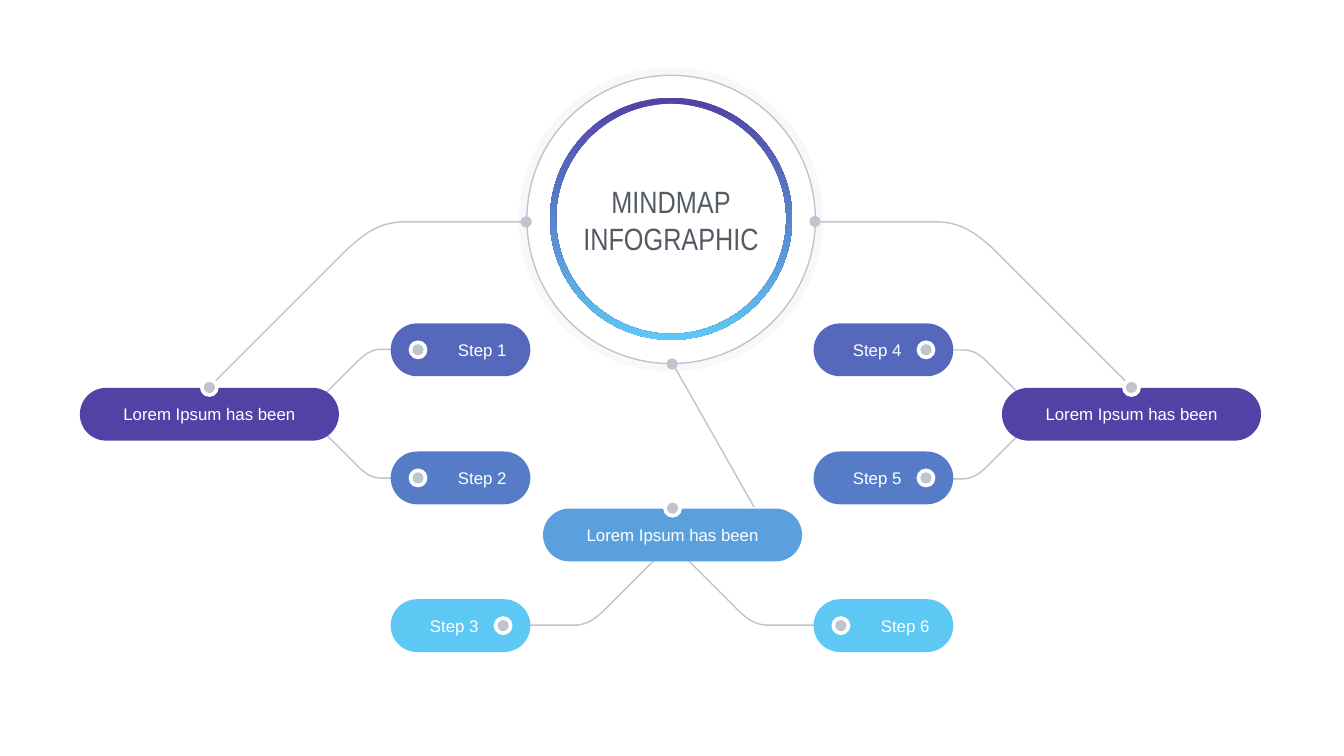
from lxml.etree import SubElement
from pptx import Presentation
from pptx.dml.color import RGBColor
from pptx.enum.shapes import MSO_CONNECTOR, MSO_SHAPE
from pptx.enum.text import MSO_ANCHOR, MSO_AUTO_SIZE, PP_ALIGN
from pptx.oxml.ns import qn
from pptx.util import Pt

COLORS = {
    "violet": "5242A5", "indigo": "5568BC", "blue": "567BC7", "sky": "5AA0DF",
    "cyan": "5EC8F5", "grey": "BFC5CE", "halo": "EFF0F4", "text": "555B64",
    "white": "FFFFFF",
}
TITLE = ["MINDMAP", "INFOGRAPHIC"]
TOPICS = [
    ("Lorem Ipsum has been", 114, 554, "violet"),
    ("Lorem Ipsum has been", 1431, 554, "violet"),
    ("Lorem Ipsum has been", 775.5, 726.5, "sky"),
]
LEFT_X, RIGHT_X = 558, 1162
STEPS = [
    ("Step 1", LEFT_X, 462, "indigo", "left"),
    ("Step 2", LEFT_X, 645, "blue", "left"),
    ("Step 3", LEFT_X, 856, "cyan", "right"),
    ("Step 4", RIGHT_X, 462, "indigo", "right"),
    ("Step 5", RIGHT_X, 645, "blue", "right"),
    ("Step 6", RIGHT_X, 856, "cyan", "left"),
]
STEP_ELBOWS = [
    (435, 592, 602, 499), (435, 590, 602, 683),
    (1485, 592, 1318, 500), (1485, 591, 1318, 684),
    (958.5, 776, 1166, 893), (958.5, 776, 750, 893),
]
TOPIC_ELBOWS = [(304, 548, 751, 317), (1611, 548, 1164, 317)]
TOPIC_LINE = (960, 518, 1077, 724.5)
HUB_DOTS = [(751.5, 317), (1164, 316.5), (960, 520)]
HUB_X, HUB_Y = 958.5, 313.5
TOPIC_W, STEP_W, PILL_H = 370, 199.5, 75.5
DOT_INSET, DOT_D, RIM_D = 39, 16, 27
CURVE = [(0.835, 0.835), (0.91, 0.9), (1, 0.99), (1.16, 1)]
CURVE_STEPS = 12


def rgb(name):
    return RGBColor.from_string(COLORS[name])


def add_text(tf, lines, size=24, font="Arial", color="white",
             align=PP_ALIGN.CENTER, left=7, right=7):
    tf.word_wrap = True
    tf.auto_size = MSO_AUTO_SIZE.NONE
    tf.vertical_anchor = MSO_ANCHOR.MIDDLE
    tf.margin_left, tf.margin_right = Pt(left), Pt(right)
    tf.margin_top = tf.margin_bottom = Pt(4)
    for i, line in enumerate(lines):
        p = tf.paragraphs[0] if i == 0 else tf.add_paragraph()
        p.alignment = align
        r = p.add_run()
        r.text = line
        r.font.size = Pt(size)
        r.font.name = font
        r.font.color.rgb = rgb(color)


def add_shape(s, kind, x, y, w, h, fill=None, line=None):
    sp = s.shapes.add_shape(kind, Pt(x), Pt(y), Pt(w), Pt(h))
    sp.shadow.inherit = False
    if fill:
        sp.fill.solid()
        sp.fill.fore_color.rgb = rgb(fill)
    else:
        sp.fill.background()
    if line:
        sp.line.color.rgb = rgb(line)
        sp.line.width = Pt(2)
    else:
        sp.line.fill.background()
    return sp


def add_round(s, cx, cy, d, kind=MSO_SHAPE.OVAL, **style):
    return add_shape(s, kind, cx - d / 2, cy - d / 2, d, d, **style)


def add_rimmed_dot(s, cx, cy):
    add_round(s, cx, cy, RIM_D, fill="white")
    add_round(s, cx, cy, DOT_D, fill="grey")


def add_pill(s, x, y, w, fill, text, **style):
    sp = add_shape(s, MSO_SHAPE.ROUNDED_RECTANGLE, x, y, w, PILL_H, fill=fill)
    sp.adjustments[0] = 0.5
    add_text(sp.text_frame, [text], **style)


def add_elbow(s, x1, y1, x2, y2):
    rise = y2 - y1
    run = abs(rise) if x2 > x1 else -abs(rise)
    a, b, c, d = [(x1 + fx * run, y1 + fy * rise) for fx, fy in CURVE]
    points = []
    for i in range(CURVE_STEPS + 1):
        t = i / CURVE_STEPS
        u = 1 - t
        points.append(tuple(
            Pt(u**3 * a[k] + 3 * u * u * t * b[k] + 3 * u * t * t * c[k] + t**3 * d[k])
            for k in (0, 1)))
    points.append((Pt(x2), Pt(y2)))
    builder = s.shapes.build_freeform(Pt(x1), Pt(y1))
    builder.add_line_segments(points, close=False)
    sp = builder.convert_to_shape()
    sp.shadow.inherit = False
    sp.fill.background()
    sp.line.color.rgb = rgb("grey")
    sp.line.width = Pt(2)


def add_line(s, x1, y1, x2, y2):
    cn = s.shapes.add_connector(MSO_CONNECTOR.STRAIGHT, Pt(x1), Pt(y1), Pt(x2), Pt(y2))
    cn.line.color.rgb = rgb("grey")
    cn.line.width = Pt(2)
    SubElement(cn._element.spPr, qn("a:effectLst"))


def add_hub(s):
    halo = add_round(s, HUB_X, HUB_Y, 435, MSO_SHAPE.DONUT, fill="halo")
    halo.adjustments[0] = 0.025
    clr = halo._element.spPr.find(".//" + qn("a:srgbClr"))
    SubElement(clr, qn("a:alpha"), val="45000")
    ring = add_round(s, HUB_X, HUB_Y - 1, 346, MSO_SHAPE.DONUT)
    ring.adjustments[0] = 0.025
    ring.fill.gradient()
    ring.fill.gradient_angle = 270
    for stop, color in zip(ring.fill.gradient_stops, ("violet", "cyan")):
        stop.color.rgb = rgb(color)
    add_round(s, HUB_X, HUB_Y, 412, line="grey")


def main():
    prs = Presentation()
    prs.slide_width, prs.slide_height = Pt(1919.5), Pt(1080)
    s = prs.slides.add_slide(prs.slide_layouts[5])

    title = s.shapes.title
    title.left, title.top, title.width, title.height = Pt(799), Pt(257), Pt(319), Pt(114)
    add_text(title.text_frame, TITLE, size=44, font="Arial Narrow", color="text",
             left=4, right=4)

    for elbow in STEP_ELBOWS:
        add_elbow(s, *elbow)
    add_hub(s)
    for elbow in TOPIC_ELBOWS:
        add_elbow(s, *elbow)
    add_line(s, *TOPIC_LINE)

    for text, x, y, fill in TOPICS:
        add_pill(s, x, y, TOPIC_W, fill, text)
        add_rimmed_dot(s, x + TOPIC_W / 2, y - 0.5)
    for text, x, y, fill, side in STEPS:
        on_left = side == "left"
        add_pill(s, x, y, STEP_W, fill, text, align=PP_ALIGN.LEFT,
                 left=85 if on_left else 45)
        add_rimmed_dot(s, x + (DOT_INSET if on_left else STEP_W - DOT_INSET),
                       y + PILL_H / 2)
    for cx, cy in HUB_DOTS:
        add_round(s, cx, cy, DOT_D, fill="grey")

    prs.save("out.pptx")


if __name__ == "__main__":
    main()
